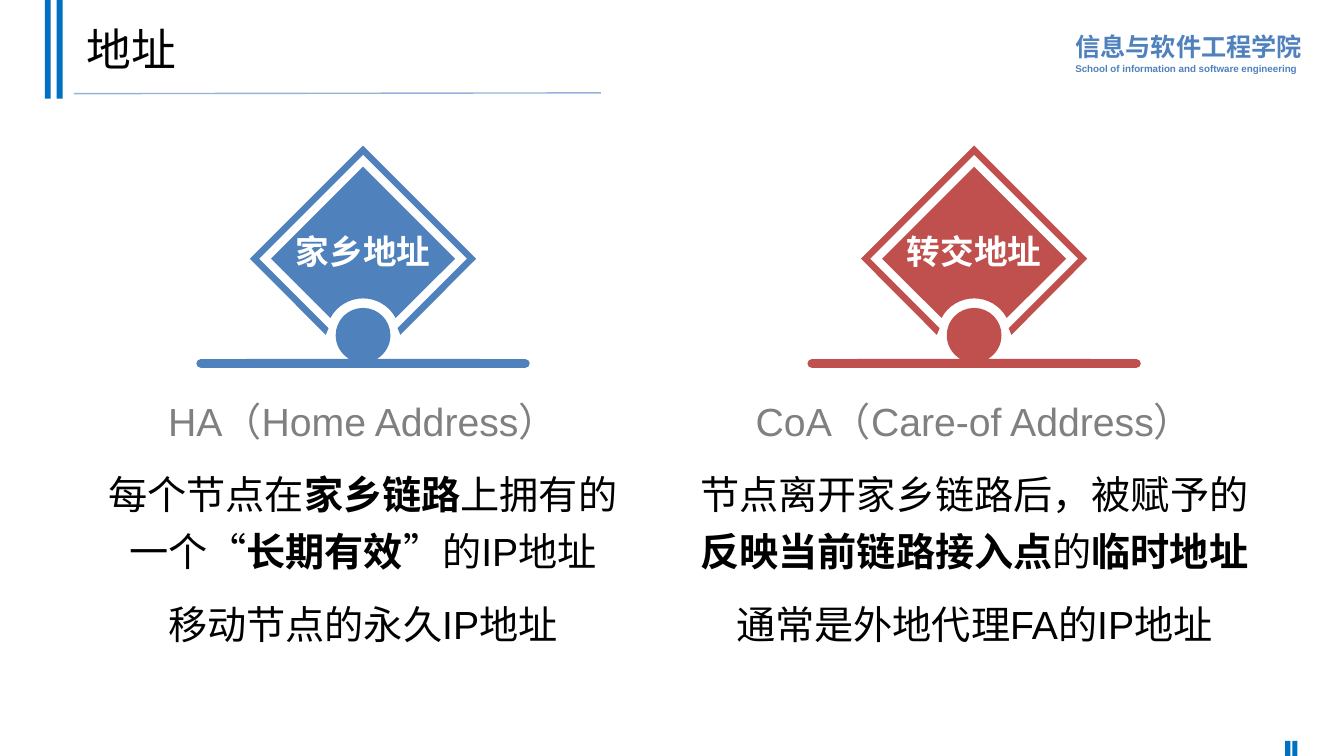
from math import cos, radians, sin, tan

from lxml import etree
from pptx import Presentation
from pptx.dml.color import RGBColor
from pptx.enum.shapes import MSO_CONNECTOR as Connector, MSO_SHAPE as Preset
from pptx.enum.text import MSO_ANCHOR as Anchor, PP_ALIGN as Align
from pptx.oxml.ns import qn
from pptx.util import Cm, Pt

# Content: runs are (text, bold); lengths are centimetres
FONT = "Arial"
BLUE, RED, ACCENT, RULE = "4F81BD", "C0504D", "0070C0", "95B3D7"
BLACK, GREY, WHITE = "000000", "808080", "FFFFFF"

TITLE = "地址"
SCHOOL = [("信息与软件工程学院", 18), ("School of information and software engineering", 7)]
ADDRESSES = [
    {
        "name": "家乡地址", "color": BLUE, "center": 9.15, "box": (2.35, 9.65, 13.59, 7.95),
        "heading": "HA（Home Address）",
        "details": [
            [("每个节点在", False), ("家乡链路", True), ("上拥有的一个“", False),
             ("长期有效", True), ("”的IP地址", False)],
            [("移动节点的永久IP地址", False)],
        ],
    },
    {
        "name": "转交地址", "color": RED, "center": 24.55, "box": (16.95, 9.65, 15.21, 7.8),
        "heading": "CoA（Care-of Address）",
        "details": [
            [("节点离开家乡链路后，被赋予的", False), ("反映当前链路接入点", True),
             ("的", False), ("临时地址", True)],
            [("通常是外地代理FA的IP地址", False)],
        ],
    },
]
ACCENT_BARS = [(1.13, 0, 0.15, 2.49), (1.43, 0, 0.15, 2.49),
               (32.39, 18.67, 0.13, 0.38), (32.57, 18.67, 0.13, 0.38)]

# Sign geometry
SIGN_Y, OUTER, INNER, CORE = 6.52, 2.85, 2.62, 2.32
BALL_Y, BALL_R, NOTCH_R = 8.45, 0.69, 0.93
BAR_Y, BAR_R, BAR_HALF = 9.16, 0.11, 4.2

deck = Presentation()
deck.slide_width, deck.slide_height = Cm(33.87), Cm(19.05)
slide = deck.slides.add_slide(deck.slide_layouts[6])


def rgb(code):
    return RGBColor.from_string(code)


def paint(shape, color):
    shape.shadow.inherit = False
    shape.fill.solid()
    shape.fill.fore_color.rgb = rgb(color)
    shape.line.fill.background()


def add_run(paragraph, text, size, color, bold=False):
    run = paragraph.add_run()
    run.text = text
    run.font.name, run.font.size, run.font.bold = FONT, Pt(size), bold
    run.font.color.rgb = rgb(color)


def add_text(box, wrap=True, anchor=Anchor.TOP):
    frame = slide.shapes.add_textbox(*map(Cm, box)).text_frame
    frame.word_wrap, frame.vertical_anchor = wrap, anchor
    return frame


def next_paragraph(frame, index):
    return frame.add_paragraph() if index else frame.paragraphs[0]


def arc(x, y, radius, *angles):
    """Start point, then two controls and an end, all marked "curve", per pair of angles."""
    def spot(degrees, lean=0):
        a = radians(degrees)
        return (x + radius * (cos(a) - lean * sin(a)), y + radius * (sin(a) + lean * cos(a)))

    points = [spot(angles[0])]
    for start, end in zip(angles, angles[1:]):
        lean = 4 / 3 * tan(radians(end - start) / 4)
        points += [(*p, "curve") for p in (spot(start, lean), spot(end, -lean), spot(end))]
    return points


def add_outline(group, contours, center, color):
    placed = [[(Cm(center + x), Cm(y)) for x, y, *_ in points] for points in contours]
    builder = group.shapes.build_freeform(*placed[0][0])
    for index, points in enumerate(placed):
        if index:
            builder.move_to(*points[0])
        builder.add_line_segments(points[1:], close=True)
    outline = builder.convert_to_shape()
    paint(outline, color)

    # Join each marked triple of segments into one Bezier curve
    segments = list(outline.element.iter(qn("a:lnTo")))
    marks = [len(point) == 3 for points in contours for point in points[1:]]
    marked = [segment for segment, mark in zip(segments, marks) if mark]
    for triple in zip(marked[::3], marked[1::3], marked[2::3]):
        curve = etree.Element(qn("a:cubicBezTo"))
        triple[0].addprevious(curve)
        for segment in triple:
            curve.append(segment[0])
            segment.getparent().remove(segment)
    return outline


# School name, accent bars and title
school = add_text((26.85, 0.58, 6.22, 1.42), wrap=False)
for index, (text, size) in enumerate(SCHOOL):
    line = next_paragraph(school, index)
    line.line_spacing = 1.1
    add_run(line, text, size, BLUE, True)

for bar in ACCENT_BARS:
    paint(slide.shapes.add_shape(Preset.RECTANGLE, *map(Cm, bar)), ACCENT)

title_rule = slide.shapes.add_connector(
    Connector.STRAIGHT, Cm(1.86), Cm(2.36), Cm(15.14), Cm(2.34))
title_rule.line.color.rgb, title_rule.line.width = rgb(RULE), Pt(1)
etree.SubElement(title_rule.element.spPr, qn("a:effectLst"))

title = add_text((1.93, 0.18, 29.21, 2.24), anchor=Anchor.MIDDLE).paragraphs[0]
title.line_spacing = 0.9
add_run(title, TITLE, 32, BLACK)

# Outlines of a sign, relative to its centre line
core = [(0, SIGN_Y - CORE), (CORE, SIGN_Y),
        *arc(0, BALL_Y, NOTCH_R, -28, -90, -152), (-CORE, SIGN_Y)]
ring_right = [(OUTER, SIGN_Y), (0.94, SIGN_Y + 1.92), (0.87, SIGN_Y + 1.75), (INNER, SIGN_Y)]
ring_left = [(-x, y) for x, y in reversed(ring_right)]
ring = [(0, SIGN_Y - OUTER), *ring_right, (0, SIGN_Y - INNER), *ring_left]
bottom_tip = [(0, SIGN_Y + OUTER)] * 2  # keeps the label centred on the full diamond
end_x = BAR_HALF - BAR_R
stand = [*arc(0, BALL_Y, BALL_R, 121, 180, 270, 360, 419),
         *arc(end_x, BAR_Y, BAR_R, -90, 0, 90),
         *arc(-end_x, BAR_Y, BAR_R, 90, 180, 270)]

# One sign and one description per address
for address in ADDRESSES:
    sign = slide.shapes.add_group_shape()
    diamond = add_outline(sign, [bottom_tip, core, ring], address["center"], address["color"])
    add_outline(sign, [stand], address["center"], address["color"])
    label = diamond.text_frame
    label.word_wrap, label.vertical_anchor = True, Anchor.MIDDLE
    label.margin_bottom = Cm(0.51)
    label.paragraphs[0].alignment = Align.CENTER
    add_run(label.paragraphs[0], address["name"], 24, WHITE, True)

    description = add_text(address["box"])
    for index, runs in enumerate([[(address["heading"], False)], *address["details"]]):
        paragraph = next_paragraph(description, index)
        paragraph.alignment, paragraph.level = Align.CENTER, min(index, 1)
        paragraph.line_spacing, paragraph.space_before = 1.2, Pt(12)
        if index:
            # Centre on the whole box, without the level's indent
            paragraph._p.get_or_add_pPr().set("marL", "0")
        for text, bold in runs:
            add_run(paragraph, text, 28, BLACK if index else GREY, bold)

deck.save("out.pptx")
